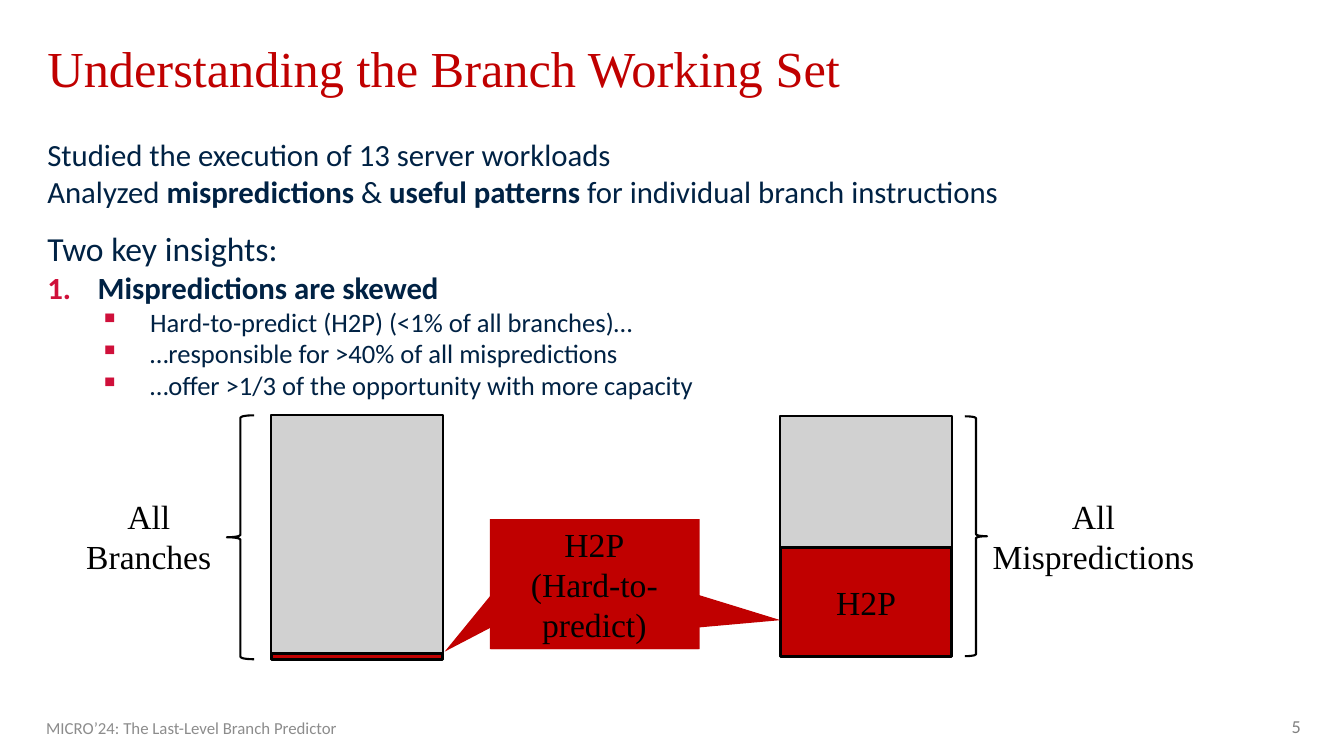
from dataclasses import dataclass

from lxml import etree
from pptx import Presentation
from pptx.dml.color import RGBColor
from pptx.enum.shapes import MSO_SHAPE
from pptx.enum.text import MSO_ANCHOR, PP_ALIGN
from pptx.oxml.ns import qn
from pptx.util import Inches, Pt

RECTANGLE = MSO_SHAPE.RECTANGLE
CALLOUT = MSO_SHAPE.RECTANGULAR_CALLOUT
LEFT_BRACE, RIGHT_BRACE = MSO_SHAPE.LEFT_BRACE, MSO_SHAPE.RIGHT_BRACE
LEFT, CENTER, RIGHT = PP_ALIGN.LEFT, PP_ALIGN.CENTER, PP_ALIGN.RIGHT
TOP, MIDDLE = MSO_ANCHOR.TOP, MSO_ANCHOR.MIDDLE
TITLE_ONLY = 5


@dataclass(frozen=True)
class Theme:
    heading_font: str = "Times New Roman"
    body_font: str = "Calibri"
    red: str = "C00000"
    bullet: str = "CF103A"
    navy: str = "002244"
    black: str = "000000"
    gray: str = "A5A5A5"
    footer: str = "8C8C8C"
    number: str = "808080"
    title_size: int = 36
    label_size: int = 24
    insight_size: int = 24
    body_size: int = 22
    detail_size: int = 19
    number_size: int = 13
    footer_size: int = 12


THEME = Theme()


def style_run(run, font, size, color, bold=False):
    run.font.name = font
    run.font.size = Pt(size)
    run.font.color.rgb = RGBColor.from_string(color)
    run.font.bold = bold


def set_text(shape, text, font, size, color, align=CENTER, anchor=MIDDLE):
    frame = shape.text_frame
    frame.word_wrap = True
    frame.vertical_anchor = anchor
    frame.text = text
    for paragraph in frame.paragraphs:
        paragraph.alignment = align
        for run in paragraph.runs:
            style_run(run, font, size, color)


def set_label(shape, text):
    set_text(shape, text, THEME.heading_font, THEME.label_size, THEME.black)


def add_text(slide, box, *text_style):
    text_box = slide.shapes.add_textbox(*map(Inches, box))
    set_text(text_box, *text_style)
    return text_box


def add_box(slide, kind, box, fill=None, line_width=None, opacity=None):
    shape = slide.shapes.add_shape(kind, *map(Inches, box))
    shape.shadow.inherit = False
    if fill:
        shape.fill.solid()
        shape.fill.fore_color.rgb = RGBColor.from_string(fill)
    else:
        shape.fill.background()
    if opacity:
        color = shape.fill._xPr.find(qn("a:solidFill"))[0]
        etree.SubElement(color, qn("a:alpha"), val=str(opacity * 1000))
    if line_width:
        shape.line.color.rgb = RGBColor.from_string(THEME.black)
        shape.line.width = Pt(line_width)
    else:
        shape.line.fill.background()
    return shape


def set_bullet(paragraph, tag, margin, **attributes):
    """Give a paragraph a hanging bullet; tag is a:buChar or a:buAutoNum."""
    properties = paragraph._p.get_or_add_pPr()
    properties.set("marL", str(Inches(margin)))
    properties.set("indent", str(Inches(-0.5)))
    color = etree.SubElement(properties, qn("a:buClr"))
    etree.SubElement(color, qn("a:srgbClr"), val=THEME.bullet)
    etree.SubElement(properties, qn(tag), **attributes)


def add_body(slide):
    body, detail = THEME.body_size, THEME.detail_size
    lines = [
        (body, [("Studied the execution of 13 server workloads", False)]),
        (body, [("Analyzed ", False), ("mispredictions ", True), ("&", False),
                (" useful patterns ", True),
                ("for individual branch instructions", False)]),
        (THEME.insight_size, [("Two key insights:", False)]),
        (body, [("Mispredictions are skewed", True)]),
        (detail, [("Hard-to-predict (H2P) (<1% of all branches)…", False)]),
        (detail, [("…responsible for >40% of all mispredictions", False)]),
        (detail, [("…offer >1/3 of the opportunity with more capacity", False)]),
    ]
    text_box = slide.shapes.add_textbox(*map(Inches, (0.36, 1.29, 12.66, 2.68)))
    frame = text_box.text_frame
    frame.word_wrap = True
    frame.margin_left = frame.margin_right = Inches(0.11)
    frame.margin_top = frame.margin_bottom = Inches(0.06)
    for index, (size, runs) in enumerate(lines):
        paragraph = frame.add_paragraph() if index else frame.paragraphs[0]
        for text, bold in runs:
            run = paragraph.add_run()
            run.text = text
            style_run(run, THEME.body_font, size, THEME.navy, bold)
        if size == detail:
            paragraph.level = 1
            set_bullet(paragraph, "a:buChar", 1.02, char="▪")
    insights, skewed = frame.paragraphs[2:4]
    insights.space_before = Pt(13)
    set_bullet(skewed, "a:buAutoNum", 0.5, type="arabicPeriod")


def add_title(slide):
    title = slide.shapes.title
    title.left, title.top, title.width, title.height = map(
        Inches, (0.36, 0.39, 11.98, 0.66))
    set_text(title, "Understanding the Branch Working Set",
             THEME.heading_font, THEME.title_size, THEME.red, LEFT)
    frame = title.text_frame
    frame.margin_left = frame.margin_right = Inches(0.11)
    frame.margin_top = frame.margin_bottom = Inches(0.06)
    frame.paragraphs[0].line_spacing = 0.8


def add_bar(slide, left, top, height, h2p_height):
    """Draw a gray bar whose bottom part is the H2P share, and return that part."""
    width = 1.7
    add_box(slide, RECTANGLE, (left, top, width, height), THEME.gray, 1.5, 50)
    h2p_top = top + height - h2p_height
    return add_box(slide, RECTANGLE, (left, h2p_top, width, h2p_height),
                   THEME.red, 2)


def add_callout(slide, left, tip):
    callout = add_box(slide, CALLOUT, (left, 5.15, 2.07, 1.29), THEME.red)
    for index, value in enumerate(tip):
        callout.adjustments[index] = value
    set_label(callout, "H2P\n(Hard-to-predict)")


def add_brace_label(slide, kind, brace_box, label_box, text):
    add_box(slide, kind, brace_box, line_width=1.5)
    label = slide.shapes.add_textbox(*map(Inches, label_box))
    set_label(label, text)


def main():
    presentation = Presentation()
    presentation.slide_width = Inches(13.33)
    presentation.slide_height = Inches(7.5)
    slide = presentation.slides.add_slide(presentation.slide_layouts[TITLE_ONLY])

    add_title(slide)
    add_body(slide)
    add_text(slide, (0.36, 7.02, 4.5, 0.4),
             "MICRO’24: The Last-Level Branch Predictor",
             THEME.body_font, THEME.footer_size, THEME.footer, LEFT)
    add_text(slide, (12.06, 7.05, 0.94, 0.35), "5",
             THEME.body_font, THEME.number_size, THEME.number, RIGHT, TOP)

    add_bar(slide, 2.69, 4.12, 2.42, 0.06)
    h2p = add_bar(slide, 7.74, 4.13, 2.38, 1.08)
    set_label(h2p, "H2P")
    add_callout(slide, 4.87, (-0.722, 0.519))
    add_callout(slide, 4.86, (0.892, 0.277))
    add_brace_label(slide, LEFT_BRACE, (2.25, 4.12, 0.27, 2.42),
                    (0.62, 4.86, 1.71, 0.91), "All Branches")
    add_brace_label(slide, RIGHT_BRACE, (9.57, 4.13, 0.22, 2.38),
                    (9.63, 4.86, 2.43, 0.91), "All Mispredictions")
    presentation.save("out.pptx")


if __name__ == "__main__":
    main()
